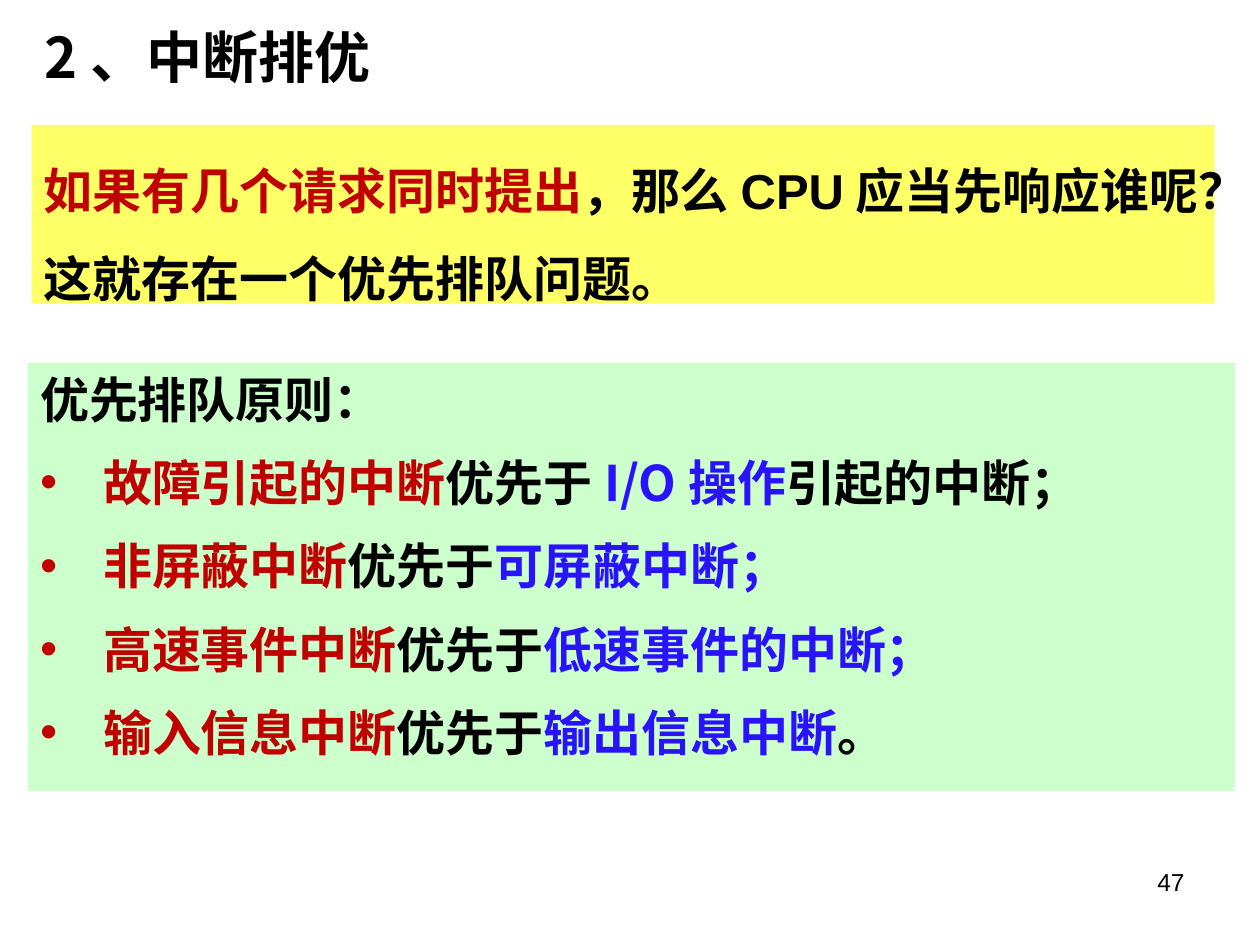
from pptx import Presentation
from pptx.dml.color import RGBColor
from pptx.enum.shapes import MSO_SHAPE
from pptx.enum.text import MSO_ANCHOR, PP_ALIGN
from pptx.oxml.ns import qn
from pptx.util import Inches, Pt
from lxml import etree

RECT = MSO_SHAPE.RECTANGLE
TOP = MSO_ANCHOR.TOP
LEFT, RIGHT = PP_ALIGN.LEFT, PP_ALIGN.RIGHT
HAN, LATIN = "Noto Sans CJK SC", "Arial"
BLACK, RED, BLUE = "000000", "C00000", "2913FD"

# Content: each paragraph is a list of (text, colour) runs
TITLE = [[("2、中断排优", BLACK)]]
ASK = [[("如果有几个请求同时提出", RED),
        ("，那么CPU应当先响应谁呢？这就存在一个优先排队问题。", BLACK)]]
HEAD = [("优先排队原则：", BLACK)]
RULES = [
    [("故障引起的中断", RED), ("优先于", BLACK), ("I/O操作", BLUE),
     ("引起的中断；", BLACK)],
    [("非屏蔽中断", RED), ("优先于", BLACK), ("可屏蔽中断；", BLUE)],
    [("高速事件中断", RED), ("优先于", BLACK), ("低速事件的中断；", BLUE)],
    [("输入信息中断", RED), ("优先于", BLACK), ("输出信息中断", BLUE),
     ("。", BLACK)],
]
PAGE = [[("47", BLACK)]]


def color(code):
    return RGBColor.from_string(code)


def place(shape, box):
    for name, value in zip(("left", "top", "width", "height"), box):
        setattr(shape, name, Inches(value))


def add_bullet(para, code):
    props = para._p.get_or_add_pPr()
    props.set("marL", str(Inches(0.5)))
    props.set("indent", str(-Inches(0.5)))
    tint = etree.SubElement(props, qn("a:buClr"))
    etree.SubElement(tint, qn("a:srgbClr"), val=code)
    etree.SubElement(props, qn("a:buFont"), typeface=LATIN)
    etree.SubElement(props, qn("a:buChar"), char="•")


def write(shape, paras, font, layout, bullets=False):
    frame = shape.text_frame
    frame.word_wrap = True
    frame.vertical_anchor = TOP
    for i, runs in enumerate(paras):
        para = frame.paragraphs[0] if i == 0 else frame.add_paragraph()
        for name, value in layout.items():
            setattr(para, name, value)
        para.space_before = Pt(14 if i else 0)
        if bullets and i:
            add_bullet(para, runs[0][1])
        for text, code in runs:
            run = para.add_run()
            run.text = text
            for name, value in font.items():
                setattr(run.font, name, value)
            run.font.color.rgb = color(code)
            etree.SubElement(run._r.get_or_add_rPr(), qn("a:ea"), typeface=HAN)


def add_panel(slide, box, fill):
    shape = slide.shapes.add_shape(RECT, *map(Inches, box))
    shape.shadow.inherit = False
    shape.fill.solid()
    shape.fill.fore_color.rgb = color(fill)
    shape.line.fill.background()
    return shape


def main():
    deck = Presentation()
    deck.slide_width, deck.slide_height = Inches(10), Inches(7.5)
    slide = deck.slides.add_slide(deck.slide_layouts[5])

    # Title
    title = slide.shapes.title
    place(title, (0.25, 0.13, 3.73, 0.63))
    write(title, TITLE, {"size": Pt(32), "name": HAN, "bold": True},
          {"alignment": LEFT})

    # Priority rules
    panel = add_panel(slide, (0.22, 2.88, 9.58, 3.4), "CCFFCC")
    write(panel, [HEAD] + RULES, {"size": Pt(28), "name": HAN, "bold": True},
          {"alignment": LEFT}, bullets=True)

    # Question
    panel = add_panel(slide, (0.25, 0.99, 9.39, 1.42), "FFFF66")
    write(panel, ASK, {"size": Pt(28), "name": LATIN, "bold": True},
          {"alignment": LEFT, "line_spacing": 1.5})

    # Page number
    page = slide.shapes.add_textbox(*map(Inches, (7.17, 6.83, 2.33, 0.52)))
    write(page, PAGE, {"size": Pt(14), "name": LATIN}, {"alignment": RIGHT})

    deck.save("out.pptx")


if __name__ == "__main__":
    main()
